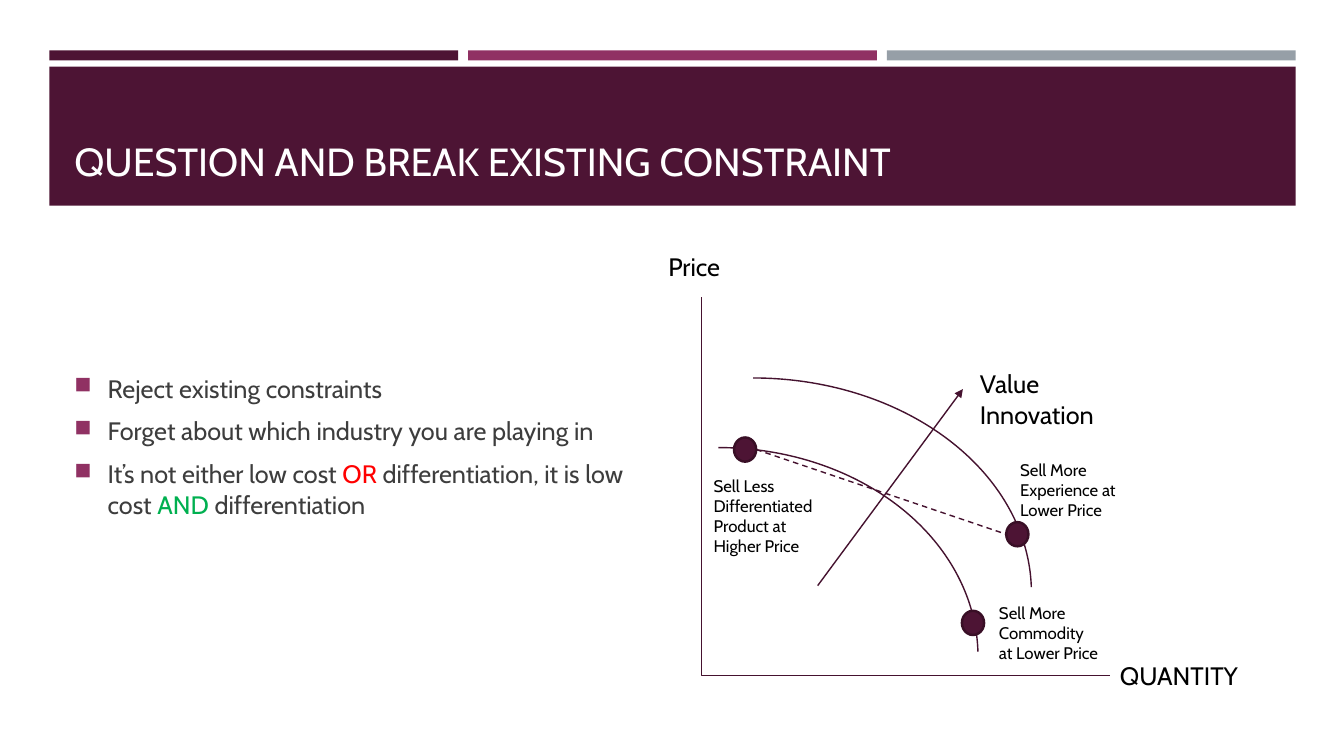
from lxml import etree
from pptx import Presentation
from pptx import util as u
from pptx.dml.color import RGBColor
from pptx.enum import dml, shapes, text
from pptx.oxml import ns

PLUM, MAGENTA, GREY = "4D1434", "903163", "969FA7"
INK, DOT_EDGE, BODY = "45122F", "390F26", "3D3D3D"
WHITE, BLACK, RED, GREEN = "FFFFFF", "000000", "FF0000", "00B050"

BULLETS = [
    [("Reject existing constraints", BODY)],
    [("Forget about which industry you are playing in", BODY)],
    [
        ("It’s not either low cost ", BODY),
        ("OR", RED),
        (" differentiation, it is low cost ", BODY),
        ("AND", GREEN),
        (" differentiation", BODY),
    ],
]
AXIS_LABELS = [
    ("Price", -0.43, -0.51, 0.8, 18),
    ("QUANTITY", 4.05, 3.55, 1.47, 18),
    ("Value\vInnovation", 2.66, 0.66, 1.89, 18),
    ("Sell Less\nDifferentiated Product at Higher Price", 0.02, 1.72, 1.2, 12),
    ("Sell More Commodity at Lower Price", 2.85, 2.98, 1.2, 12),
    ("Sell More Experience at Lower Price", 3.06, 1.56, 1.2, 12),
]
CURVES = [(-2.41, 1.49, 5.15, 4.15), (-2.25, 0.8, 5.52, 4.26)]
DOTS = [(0.32, 1.39), (2.58, 3.11), (3.02, 2.23)]


def colour(hex_value):
    return RGBColor.from_string(hex_value)


def apply_format(target, values):
    for name, value in values.items():
        setattr(target, name, value)


def set_font(font, size, hex_value):
    apply_format(font, {"name": "Cabin", "size": u.Pt(size)})
    font.color.rgb = colour(hex_value)


def add_child(parent, tag, **attributes):
    return etree.SubElement(parent, ns.qn(tag), attributes)


def add_figure(slide, kind, box, fill=None, edge=None, weight=1):
    figure = slide.shapes.add_shape(kind, *map(u.Inches, box))
    figure.shadow.inherit = False
    if fill:
        figure.fill.solid()
        figure.fill.fore_color.rgb = colour(fill)
    else:
        figure.fill.background()
    if edge:
        figure.line.color.rgb = colour(edge)
        figure.line.width = u.Pt(weight)
    else:
        figure.line.fill.background()
    return figure


def add_frame(slide, box, anchor=text.MSO_ANCHOR.TOP):
    frame = slide.shapes.add_textbox(*map(u.Inches, box)).text_frame
    apply_format(frame, {"word_wrap": True, "vertical_anchor": anchor})
    return frame


def add_label(slide, box, wording, size, hex_value, anchor=text.MSO_ANCHOR.TOP):
    frame = add_frame(slide, box, anchor)
    frame.text = wording
    for paragraph in frame.paragraphs:
        set_font(paragraph.font, size, hex_value)


def add_line(slide, kind, start, end):
    line = slide.shapes.add_connector(kind, *map(u.Inches, start + end))
    line.line.color.rgb = colour(INK)
    line.line.width = u.Pt(1)
    add_child(line._element.spPr, "a:effectLst")
    return line


def header(slide, left, top, width):
    gap, stripe_height = 0.1, 0.1
    stripe_width = (width - 2 * gap) / 3
    for index, fill in enumerate([PLUM, MAGENTA, GREY]):
        box = (left + index * (stripe_width + gap), top, stripe_width, stripe_height)
        add_figure(slide, shapes.MSO_SHAPE.RECTANGLE, box, fill)
    add_figure(slide, shapes.MSO_SHAPE.RECTANGLE, (left, top + 0.16, width, 1.38), PLUM)
    add_label(slide, (left + 0.15, top + 0.3, width - 0.3, 1.08),
              "QUESTION AND BREAK EXISTING CONSTRAINT", 28, WHITE,
              text.MSO_ANCHOR.BOTTOM)


def bullet_list(slide, box):
    frame = add_frame(slide, box, text.MSO_ANCHOR.MIDDLE)
    indent = u.Inches(0.33)
    for index, runs in enumerate(BULLETS):
        paragraph = frame.add_paragraph() if index else frame.paragraphs[0]
        properties = paragraph._p.get_or_add_pPr()
        properties.set("marL", str(indent))
        properties.set("indent", str(-indent))
        paragraph.space_before = u.Pt(3 if index else 0)
        paragraph.space_after = u.Pt(6)
        bullet_colour = add_child(properties, "a:buClr")
        add_child(bullet_colour, "a:srgbClr", val=MAGENTA)
        add_child(properties, "a:buSzPct", val="92000")
        add_child(properties, "a:buChar", char="■")
        for wording, hex_value in runs:
            run = paragraph.add_run()
            run.text = wording
            set_font(run.font, 18, hex_value)


def value_diagram(slide, left, top, width, height):
    def at(x, y):
        return left + x, top + y

    axes = add_line(slide, shapes.MSO_CONNECTOR.ELBOW, at(0, 0), at(width, height))
    guides = axes._element.spPr.find(ns.qn("a:prstGeom")).find(ns.qn("a:avLst"))
    add_child(guides, "a:gd", name="adj1", fmla="val 0")

    for x, y, curve_width, curve_height in CURVES:
        curve = add_figure(slide, shapes.MSO_SHAPE.ARC,
                           at(x, y) + (curve_width, curve_height), edge=INK)
        curve.adjustments[0] = 162
        curve.adjustments[1] = 215.32

    innovation = add_line(slide, shapes.MSO_CONNECTOR.STRAIGHT,
                          at(1.15, 2.86), at(2.59, 0.91))
    add_child(innovation.line._get_or_add_ln(), "a:tailEnd", type="triangle")

    for wording, x, y, label_width, size in AXIS_LABELS:
        add_label(slide, at(x, y) + (label_width, 0.4), wording, size, BLACK)

    shift = add_line(slide, shapes.MSO_CONNECTOR.STRAIGHT,
                     at(0.54, 1.51), at(3.02, 2.35))
    shift.line.dash_style = dml.MSO_LINE.DASH

    for x, y in DOTS:
        add_figure(slide, shapes.MSO_SHAPE.OVAL, at(x, y) + (0.22, 0.24),
                   PLUM, DOT_EDGE, 1.75)


def main():
    deck = Presentation()
    apply_format(deck, {"slide_width": u.Inches(13.33), "slide_height": u.Inches(7.5)})
    slide = deck.slides.add_slide(deck.slide_layouts[6])
    header(slide, 0.49, 0.5, 12.36)
    bullet_list(slide, (0.64, 2.44, 5.93, 3.97))
    value_diagram(slide, 6.96, 2.95, 4.05, 3.75)
    deck.save("out.pptx")


if __name__ == "__main__":
    main()
